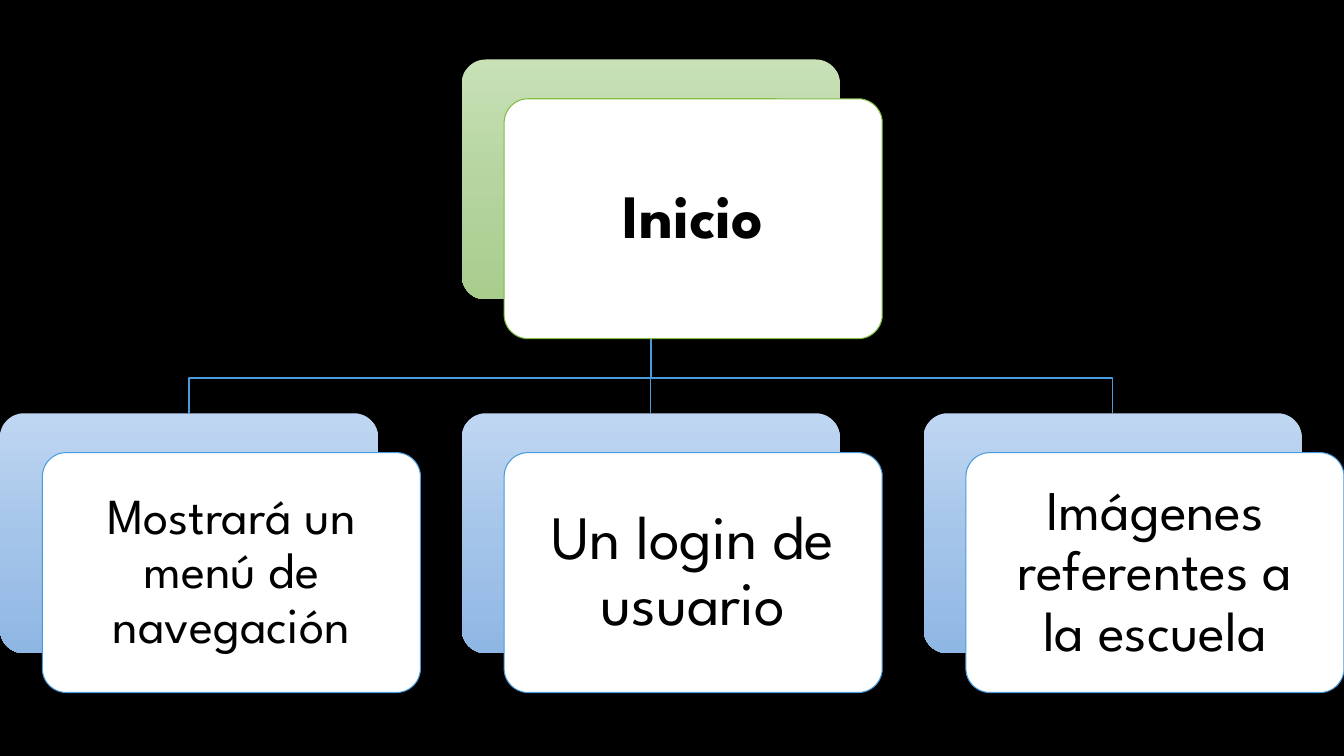
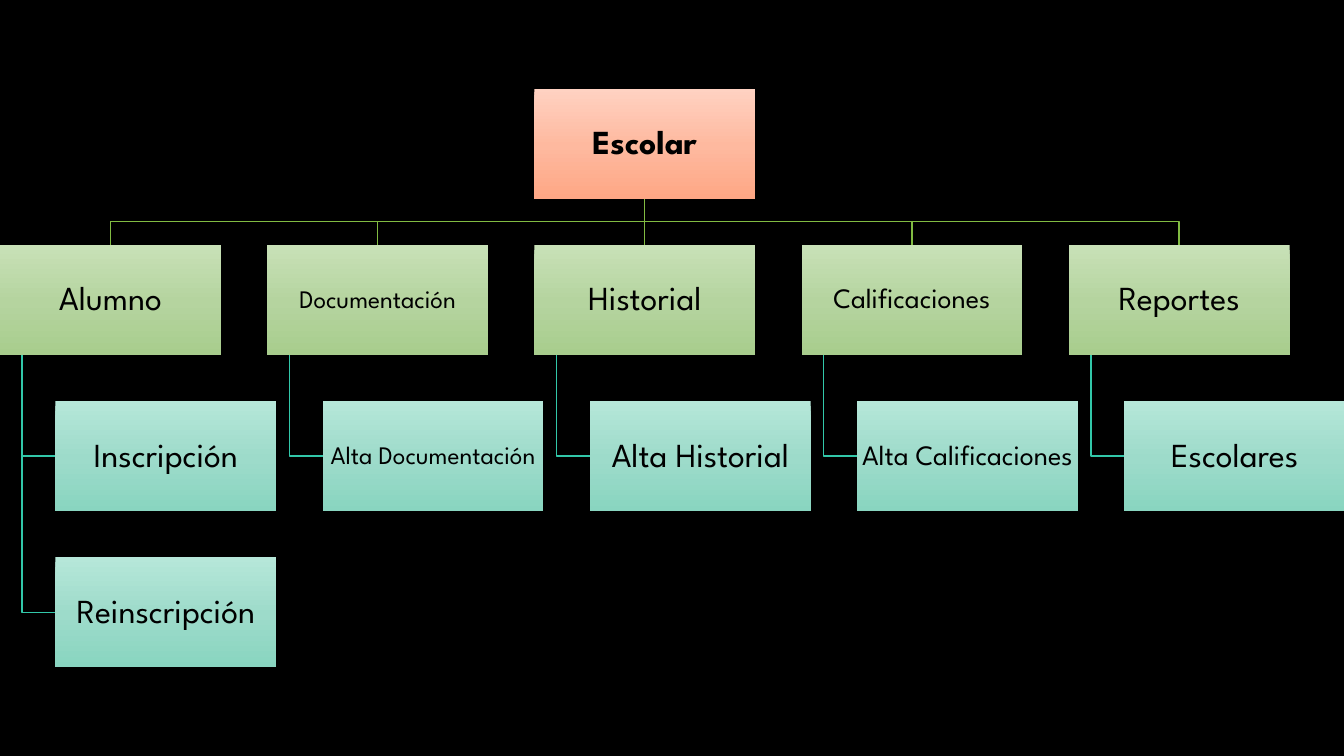
from copy import deepcopy
from dataclasses import dataclass, field

from pptx import Presentation
from pptx.dml.color import RGBColor
from pptx.enum.shapes import MSO_CONNECTOR, MSO_SHAPE
from pptx.enum.text import MSO_ANCHOR, PP_ALIGN
from pptx.oxml.ns import qn
from pptx.oxml.xmlchemy import OxmlElement
from pptx.shapes.autoshape import Shape
from pptx.slide import Slide
from pptx.util import Inches, Pt


@dataclass(frozen=True)
class Tone:
    line: str
    stops: tuple[str, str, str]


@dataclass(frozen=True)
class Theme:
    font: str = "League Spartan"
    background: str = "000000"
    text: str = "000000"
    card: str = "FFFFFF"
    green: Tone = Tone("81BB42", ("C8E1B7", "B5D49F", "A8CD8D"))
    blue: Tone = Tone("4A9BDC", ("BFD6F2", "A4C4E9", "8FB7E4"))
    orange: Tone = Tone("FEA785", ("FFD2C2", "FEB99F", "FEA785"))
    teal: Tone = Tone("32C7A9", ("B6E7D9", "9DDBCA", "89D5C0"))
    stop_positions: tuple[float, ...] = (0, 0.52, 1)
    huge: int = 44
    large: int = 40
    big: int = 36
    normal: int = 24
    small: int = 20
    tiny: int = 18
    connector_width: float = 1
    outline_width: float = 0.75


THEME = Theme()


@dataclass(frozen=True)
class Box:
    left: float
    top: float
    width: float
    height: float

    @property
    def center(self) -> float:
        return self.left + self.width / 2

    @property
    def middle(self) -> float:
        return self.top + self.height / 2

    @property
    def bottom(self) -> float:
        return self.top + self.height

    def moved(self, dx: float, dy: float) -> "Box":
        return Box(self.left + dx, self.top + dy, self.width, self.height)


@dataclass(frozen=True)
class Label:
    text: str
    size: int = THEME.normal
    bold: bool = False


@dataclass(frozen=True)
class Branch:
    head: Label
    items: list[Label] = field(default_factory=list)


Point = tuple[float, float]


def rgb(color: str) -> RGBColor:
    return RGBColor.from_string(color)


def add_box(slide: Slide, kind: MSO_SHAPE, box: Box) -> Shape:
    sp = slide.shapes.add_shape(kind, Inches(box.left), Inches(box.top),
                                Inches(box.width), Inches(box.height))
    sp.shadow.inherit = False
    sp.line.fill.background()
    if kind == MSO_SHAPE.ROUNDED_RECTANGLE:
        sp.adjustments[0] = 0.1
    return sp


def fill_gradient(sp: Shape, tone: Tone) -> None:
    """Fill from top to bottom with the three stops of the tone."""
    sp.fill.gradient()
    sp.fill.gradient_angle = 270
    stop_list = sp.fill._xPr.find(qn("a:gradFill")).find(qn("a:gsLst"))
    stop_list.append(deepcopy(stop_list[0]))
    for stop, color, position in zip(sp.fill.gradient_stops, tone.stops,
                                     THEME.stop_positions):
        stop.color.rgb = rgb(color)
        stop.position = position


def set_label(sp: Shape, label: Label, inset: float) -> None:
    tf = sp.text_frame
    tf.text = label.text
    tf.word_wrap = True
    tf.vertical_anchor = MSO_ANCHOR.MIDDLE
    tf.margin_left = tf.margin_right = Inches(inset)
    tf.margin_top = tf.margin_bottom = Inches(inset)
    p = tf.paragraphs[0]
    p.alignment = PP_ALIGN.CENTER
    p.line_spacing = 0.9
    p.space_after = Pt(round(label.size * 0.35))
    font = p.runs[0].font
    font.name = THEME.font
    font.size = Pt(label.size)
    font.bold = label.bold
    font.color.rgb = rgb(THEME.text)


def add_path(slide: Slide, points: list[Point], tone: Tone) -> None:
    """Draw a straight connector for two points, a bent line for more."""
    ends = [(Inches(x), Inches(y)) for x, y in points]
    if len(ends) == 2:
        sp = slide.shapes.add_connector(MSO_CONNECTOR.STRAIGHT, *ends[0], *ends[1])
        sp._element.spPr.append(OxmlElement("a:effectLst"))
    else:
        builder = slide.shapes.build_freeform(*ends[0])
        builder.add_line_segments(ends[1:], close=False)
        sp = builder.convert_to_shape()
        sp.fill.background()
        sp.shadow.inherit = False
    sp.line.color.rgb = rgb(tone.line)
    sp.line.width = Pt(THEME.connector_width)


def connect_down(slide: Slide, parent: Box, child: Box, bend: float,
                 tone: Tone) -> None:
    start, end = (parent.center, parent.bottom), (child.center, child.top)
    if abs(parent.center - child.center) < 0.01:
        add_path(slide, [start, end], tone)
    else:
        corners = [(parent.center, bend), (child.center, bend)]
        add_path(slide, [start, *corners, end], tone)


def connect_side(slide: Slide, parent: Box, child: Box, tone: Tone) -> None:
    x = parent.left + parent.width / 10
    add_path(slide, [(x, parent.bottom), (x, child.middle),
                     (child.left, child.middle)], tone)


def add_card(slide: Slide, box: Box, label: Label, tone: Tone) -> None:
    """Draw a white labelled card in front of a gradient plate."""
    plate = add_box(slide, MSO_SHAPE.ROUNDED_RECTANGLE, box)
    fill_gradient(plate, tone)
    card = add_box(slide, MSO_SHAPE.ROUNDED_RECTANGLE, box.moved(0.42, 0.39))
    card.fill.solid()
    card.fill.fore_color.rgb = rgb(THEME.card)
    card.line.color.rgb = rgb(tone.line)
    card.line.width = Pt(THEME.outline_width)
    set_label(card, label, 0.25)


def add_tile(slide: Slide, box: Box, label: Label, tone: Tone) -> None:
    tile = add_box(slide, MSO_SHAPE.RECTANGLE, box)
    fill_gradient(tile, tone)
    set_label(tile, label, 0.02)


def build_home(slide: Slide) -> None:
    features = [
        Label("Mostrará un menú de navegación", THEME.big),
        Label("Un login de usuario", THEME.huge),
        Label("Imágenes referentes a la escuela", THEME.large),
    ]
    pitch = 4.58
    first = Box(0, 4.1, 3.75, 2.38)
    root = Box(pitch, 0.59, first.width, first.height)
    boxes = [first.moved(i * pitch, 0) for i in range(len(features))]
    for box in boxes:
        connect_down(slide, root, box, 3.75, THEME.blue)
    add_card(slide, root, Label("Inicio", THEME.huge, bold=True), THEME.green)
    for box, label in zip(boxes, features):
        add_card(slide, box, label, THEME.blue)


def build_school(slide: Slide) -> None:
    branches = [
        Branch(Label("Alumno"), [Label("Inscripción"), Label("Reinscripción")]),
        Branch(Label("Documentación", THEME.tiny),
               [Label("Alta Documentación", THEME.tiny)]),
        Branch(Label("Historial"), [Label("Alta Historial")]),
        Branch(Label("Calificaciones", THEME.small),
               [Label("Alta Calificaciones", THEME.small)]),
        Branch(Label("Reportes"), [Label("Escolares")]),
    ]
    pitch, row, indent = 2.65, 1.55, 0.55
    first = Box(0, 2.43, 2.19, 1.09)
    root = first.moved(len(branches) // 2 * pitch, -row)
    bend = (root.bottom + first.top) / 2

    tiles = [(root, Label("Escolar", bold=True), THEME.orange)]
    for i, branch in enumerate(branches):
        head = first.moved(i * pitch, 0)
        connect_down(slide, root, head, bend, THEME.green)
        tiles.append((head, branch.head, THEME.green))
        for level, item in enumerate(branch.items, start=1):
            box = head.moved(indent, level * row)
            connect_side(slide, head, box, THEME.teal)
            tiles.append((box, item, THEME.teal))
    for box, label, tone in tiles:
        add_tile(slide, box, label, tone)


def main() -> None:
    prs = Presentation()
    prs.slide_width, prs.slide_height = Inches(13.33), Inches(7.5)
    backdrop = prs.slide_master.background.fill
    backdrop.solid()
    backdrop.fore_color.rgb = rgb(THEME.background)
    blank = prs.slide_layouts[6]
    for build in (build_home, build_school):
        build(prs.slides.add_slide(blank))
    prs.save("out.pptx")


if __name__ == "__main__":
    main()
